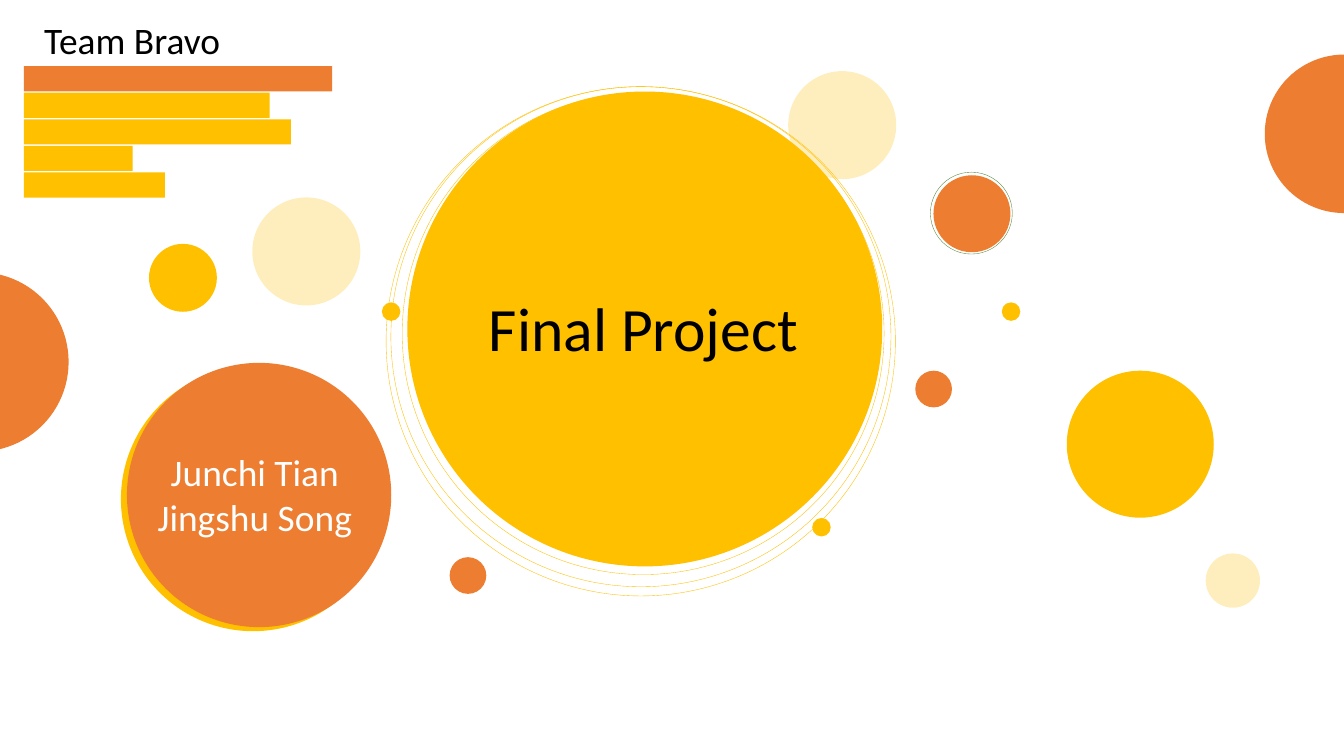
from dataclasses import dataclass

from lxml.etree import SubElement
from pptx import Presentation
from pptx.dml.color import RGBColor
from pptx.enum.shapes import MSO_SHAPE
from pptx.enum.text import MSO_ANCHOR, MSO_AUTO_SIZE, PP_ALIGN
from pptx.oxml.ns import qn
from pptx.util import Pt


@dataclass(frozen=True)
class Theme:
    gold: str = "FFC000"
    orange: str = "ED7D31"
    green: str = "548235"
    black: str = "000000"
    white: str = "FFFFFF"
    font: str = "Calibri"
    title_size: float = 44
    label_size: float = 26.7
    ring_width: float = 0.25
    pale_alpha: int = 26


T = Theme()

prs = Presentation()
prs.slide_width, prs.slide_height = Pt(960), Pt(540)
s = prs.slides.add_slide(prs.slide_layouts[5])


def add_shape(kind, x, y, w, h, fill=None, line=None, alpha=None):
    sp = s.shapes.add_shape(kind, Pt(x), Pt(y), Pt(w), Pt(h))
    sp.shadow.inherit = False
    if fill:
        sp.fill.solid()
        sp.fill.fore_color.rgb = RGBColor.from_string(fill)
    else:
        sp.fill.background()
    if line:
        sp.line.color.rgb = RGBColor.from_string(line)
        sp.line.width = Pt(T.ring_width)
    else:
        sp.line.fill.background()
    if alpha:
        color = sp.element.spPr.find(qn("a:solidFill"))[0]
        SubElement(color, qn("a:alpha")).set("val", str(alpha * 1000))


def set_text(sp, lines, size, color, align, wrap=True):
    tf = sp.text_frame
    tf.word_wrap = wrap
    tf.auto_size = MSO_AUTO_SIZE.SHAPE_TO_FIT_TEXT
    tf.vertical_anchor = MSO_ANCHOR.TOP
    for i, line in enumerate(lines):
        p = tf.add_paragraph() if i else tf.paragraphs[0]
        p.alignment = align
        r = p.add_run()
        r.text = line
        r.font.name = T.font
        r.font.size = Pt(size)
        r.font.color.rgb = RGBColor.from_string(color)


# Bars under the team name
BAR_LEFT, BAR_TOP, BAR_HEIGHT, BAR_PITCH = 17, 47.3, 18, 18.95
for i, width in enumerate([220.3, 175.7, 190.8, 77.8, 100.8]):
    add_shape(MSO_SHAPE.RECTANGLE, BAR_LEFT, BAR_TOP + i * BAR_PITCH, width, BAR_HEIGHT,
              fill=T.gold if i else T.orange)

# Bubbles, back to front: left, top, diameter, colour, opacity
bubbles = [
    (86.4, 262.1, 188.8, T.gold, None),
    (-79.2, 194.4, 128.2, T.orange, None),
    (291, 65.4, 339.2, T.gold, None),
    (90.7, 259.2, 188.8, T.orange, None),
    (106.4, 174.2, 48.5, T.gold, None),
    (180.2, 141, 77.2, T.gold, T.pale_alpha),
    (563, 50.8, 77.2, T.gold, T.pale_alpha),
    (861.2, 395.3, 38.8, T.gold, T.pale_alpha),
    (762, 264.8, 105, T.gold, None),
    (653.8, 264.8, 26.2, T.orange, None),
    (666.8, 125.2, 55, T.orange, None),
    (903.4, 39, 113.2, T.orange, None),
    (321.2, 398, 26.2, T.orange, None),
    (580.2, 370, 13.2, T.gold, None),
]
for x, y, d, color, alpha in bubbles:
    add_shape(MSO_SHAPE.OVAL, x, y, d, d, fill=color, alpha=alpha)

# Thin rings: left, top, diameter, colour
rings = [
    (287.3, 66.2, 344.2, T.gold),
    (275.8, 61.9, 363.8, T.gold),
    (279.2, 61.9, 357.2, T.gold),
    (664.6, 123, 58.5, T.green),
]
for x, y, d, color in rings:
    add_shape(MSO_SHAPE.OVAL, x, y, d, d, line=color)

# Small dots either side of the main circle
for x in (272.8, 715.6):
    add_shape(MSO_SHAPE.OVAL, x, 216, 13.2, 13.2, fill=T.gold)

# Team name
team = s.shapes.add_textbox(Pt(24.5), Pt(8.6), Pt(141), Pt(39.6))
set_text(team, ["Team Bravo"], T.label_size, T.black, PP_ALIGN.LEFT, wrap=False)

# Title, raised above the main circle
title = s.shapes.title
title.left, title.top, title.width, title.height = Pt(337), Pt(203.8), Pt(245.5), Pt(60.5)
set_text(title, ["Final Project"], T.title_size, T.black, PP_ALIGN.CENTER)
title.element.getparent().append(title.element)

# Team members
members = s.shapes.add_textbox(Pt(93.6), Pt(317.5), Pt(177), Pt(72))
set_text(members, ["Junchi Tian", "Jingshu Song"], T.label_size, T.white, PP_ALIGN.CENTER)

prs.save("out.pptx")
